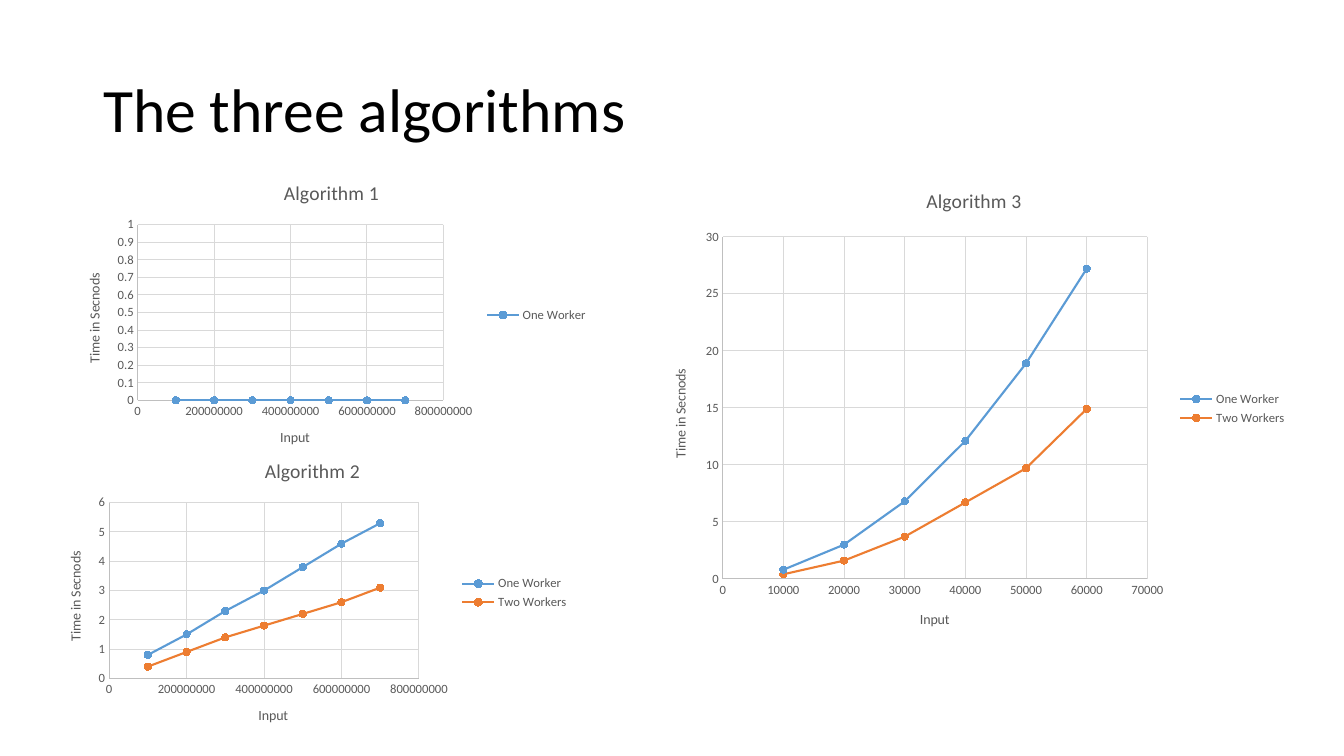
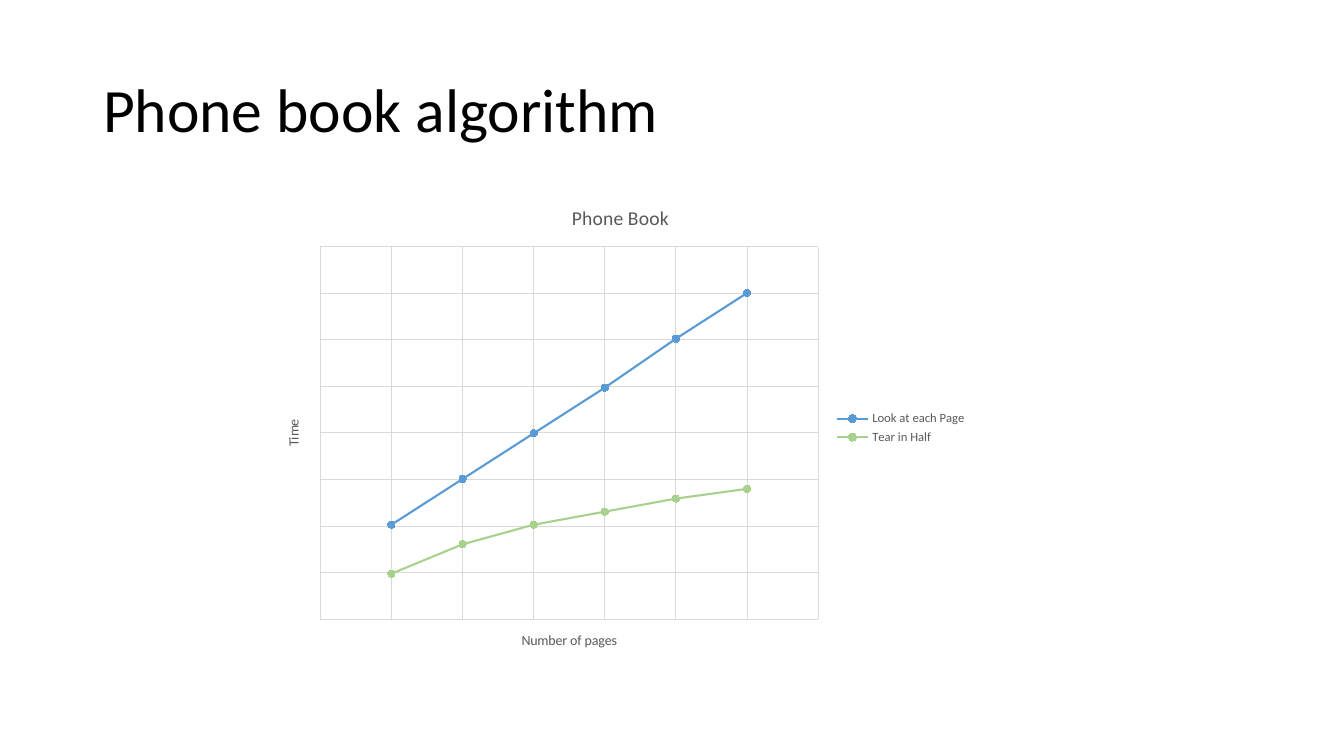
import pptx
import pptx.chart.data
import pptx.dml.color
import pptx.enum.chart
import pptx.enum.text
import pptx.util

PIXEL = 914400 / 100.8
FONT = "Calibri"
BLACK = pptx.dml.color.RGBColor(0x00, 0x00, 0x00)
GRAY = pptx.dml.color.RGBColor(0x59, 0x59, 0x59)
AXIS_GRAY = pptx.dml.color.RGBColor(0xBF, 0xBF, 0xBF)
GRID_GRAY = pptx.dml.color.RGBColor(0xD9, 0xD9, 0xD9)
BLUE = pptx.dml.color.RGBColor(0x5B, 0x9B, 0xD5)
ORANGE = pptx.dml.color.RGBColor(0xED, 0x7D, 0x31)
GREEN = pptx.dml.color.RGBColor(0xA9, 0xD1, 0x8E)

TITLE_BOX = (93, 40, 1159, 146)
MILLION = 1_000_000


def pixels(*lengths):
    """Turn pixel lengths into EMU."""
    return [pptx.util.Emu(round(length * PIXEL)) for length in lengths]


def format_font(font, size, color):
    """Set the shared typeface with a size and a colour."""
    font.name = FONT
    font.size = pptx.util.Pt(size)
    font.bold = False
    font.color.rgb = color


def write_text(frame, text, size=10, color=GRAY, spacing=None):
    """Write one formatted paragraph into a text frame."""
    paragraph = frame.paragraphs[0]
    if spacing:
        paragraph.line_spacing = spacing
    run = paragraph.add_run()
    run.text = text
    format_font(run.font, size, color)


def format_line(line, color, width):
    """Set the colour and width of a line."""
    line.color.rgb = color
    line.width = pptx.util.Pt(width)


def add_titled_slide(presentation, text):
    """Add a title-only slide with its title in the shared style."""
    slide = presentation.slides.add_slide(presentation.slide_layouts[5])
    title = slide.shapes.title
    title.left, title.top, title.width, title.height = pixels(*TITLE_BOX)
    frame = title.text_frame
    frame.word_wrap = True
    frame.auto_size = pptx.enum.text.MSO_AUTO_SIZE.NONE
    frame.vertical_anchor = pptx.enum.text.MSO_ANCHOR.MIDDLE
    write_text(frame, text, size=44, color=BLACK, spacing=0.9)
    frame.paragraphs[0].alignment = pptx.enum.text.PP_ALIGN.LEFT
    return slide


def format_axis(axis, title, scale, visible):
    """Style an axis; scale holds its minimum, maximum and major unit."""
    axis.minimum_scale, axis.maximum_scale, axis.major_unit = scale
    axis.has_major_gridlines = True
    format_line(axis.major_gridlines.format.line, GRID_GRAY, 0.75)
    axis.major_tick_mark = pptx.enum.chart.XL_TICK_MARK.NONE
    axis.minor_tick_mark = pptx.enum.chart.XL_TICK_MARK.NONE
    axis.tick_label_position = pptx.enum.chart.XL_TICK_LABEL_POSITION.NEXT_TO_AXIS
    format_line(axis.format.line, AXIS_GRAY, 0.75)
    format_font(axis.tick_labels.font, 9, GRAY)
    axis.tick_labels.number_format = "General"
    axis.tick_labels.number_format_is_linked = False
    write_text(axis.axis_title.text_frame, title)
    axis.visible = visible


def format_series(series, color):
    """Give a series straight lines and round markers of one colour."""
    series.smooth = False
    format_line(series.format.line, color, 1.5)
    marker = series.marker
    marker.style = pptx.enum.chart.XL_MARKER_STYLE.CIRCLE
    marker.size = 5
    marker.format.fill.solid()
    marker.format.fill.fore_color.rgb = color
    format_line(marker.format.line, color, 0.75)


def add_scatter(slide, box, title, inputs, lines, x_scale, y_scale,
                x_title="Input", y_title="Time in Secnods", axes_visible=True):
    """Add a scatter chart; lines holds a name, colour and values per series."""
    data = pptx.chart.data.XyChartData()
    for name, _, values in lines:
        points = data.add_series(name)
        for x, y in zip(inputs, values):
            points.add_data_point(x, y)
    kind = pptx.enum.chart.XL_CHART_TYPE.XY_SCATTER_LINES
    chart = slide.shapes.add_chart(kind, *pixels(*box), data).chart
    format_font(chart.font, 10, BLACK)
    chart.has_title = True
    write_text(chart.chart_title.text_frame, title, size=14)
    chart.chart_title.include_in_layout = False
    chart.has_legend = True
    chart.legend.position = pptx.enum.chart.XL_LEGEND_POSITION.RIGHT
    chart.legend.include_in_layout = False
    format_font(chart.legend.font, 9, GRAY)
    format_axis(chart.category_axis, x_title, x_scale, axes_visible)
    format_axis(chart.value_axis, y_title, y_scale, axes_visible)
    body = chart.value_axis.axis_title.text_frame._txBody.bodyPr
    body.set("rot", "-5400000")
    body.set("vert", "horz")
    plot = chart.plots[0]
    plot.vary_by_categories = False
    for series, (_, color, _) in zip(plot.series, lines):
        format_series(series, color)


def build_algorithms(presentation):
    """Build the slide that compares the three algorithms."""
    slide = add_titled_slide(presentation, "The three algorithms")
    large_inputs = range(700 * MILLION, 0, -100 * MILLION)
    large_scale = (0, 800 * MILLION, 200 * MILLION)
    add_scatter(slide, (46, 442, 533, 302), "Algorithm 2", large_inputs, [
        ("One Worker", BLUE, (5.3, 4.6, 3.8, 3, 2.3, 1.5, 0.8)),
        ("Two Workers", ORANGE, (3.1, 2.6, 2.2, 1.8, 1.4, 0.9, 0.4)),
    ], large_scale, (0, 6, 1))
    add_scatter(slide, (651, 169, 646, 479), "Algorithm 3", range(60000, 0, -10000), [
        ("One Worker", BLUE, (27.2, 18.9, 12.1, 6.8, 3, 0.8)),
        ("Two Workers", ORANGE, (14.9, 9.7, 6.7, 3.7, 1.6, 0.4)),
    ], (0, 70000, 10000), (0, 30, 5))
    add_scatter(slide, (65, 164, 533, 302), "Algorithm 1", large_inputs, [
        ("One Worker", BLUE, [0] * len(large_inputs)),
    ], large_scale, (0, 1, 0.1))


def build_phone_book(presentation):
    """Build the slide that compares two ways to search a phone book."""
    slide = add_titled_slide(presentation, "Phone book algorithm")
    pages = range(700 * MILLION, 100 * MILLION, -100 * MILLION)
    add_scatter(slide, (264, 186, 713, 484), "Phone Book", pages, [
        ("Look at each Page", BLUE, (100, 86, 71, 57, 43, 29)),
        ("Tear in Half", GREEN, (40, 37, 33, 29, 23, 14)),
    ], (100 * MILLION, 800 * MILLION, 100 * MILLION), (0, 114.24, 14.28),
        x_title="Number of pages", y_title="Time", axes_visible=False)


def main():
    """Build and save the presentation."""
    presentation = pptx.Presentation()
    presentation.slide_width, presentation.slide_height = pixels(1344, 756)
    build_algorithms(presentation)
    build_phone_book(presentation)
    presentation.save("out.pptx")


main()
